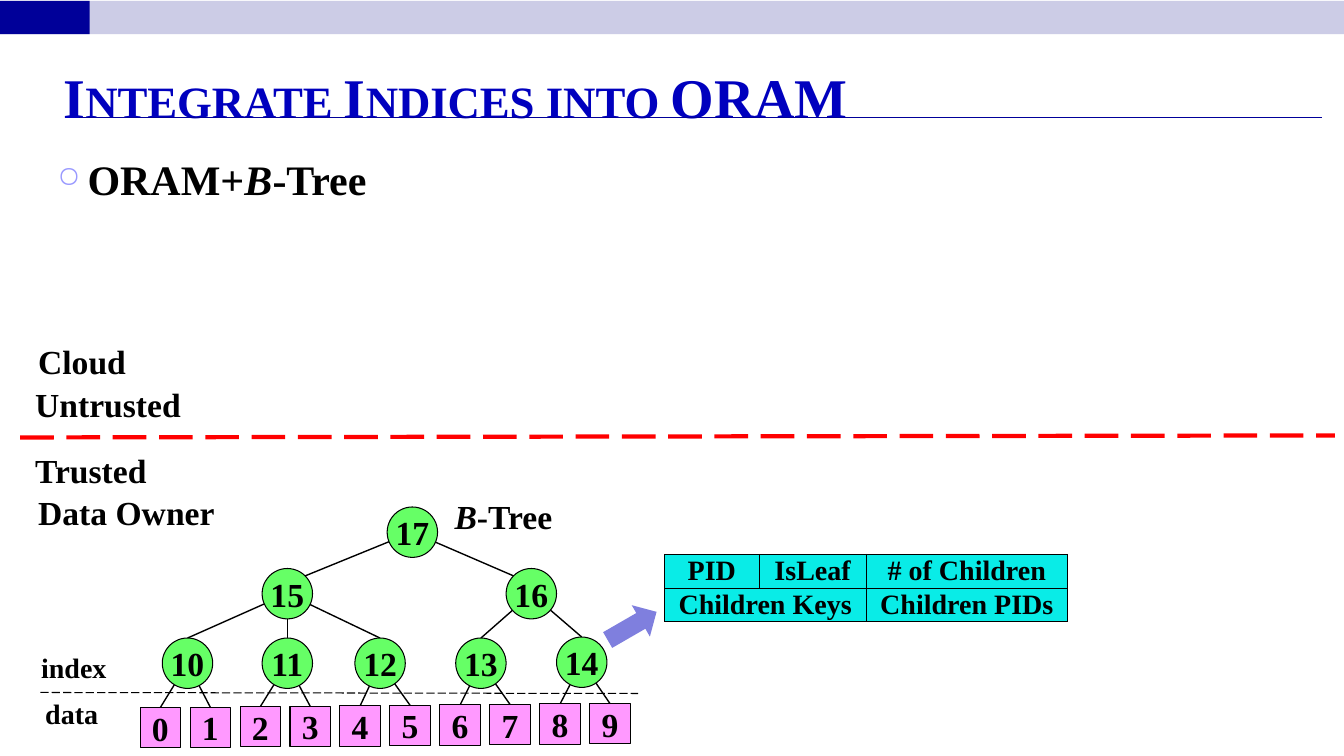
from math import hypot, sqrt
from lxml.etree import SubElement
from pptx import Presentation
from pptx.dml.color import RGBColor
from pptx.enum.dml import MSO_LINE
from pptx.enum.shapes import MSO_CONNECTOR, MSO_SHAPE
from pptx.enum.text import MSO_ANCHOR, MSO_AUTO_SIZE, PP_ALIGN
from pptx.oxml import parse_xml
from pptx.oxml.ns import nsdecls, qn
from pptx.util import Inches, Pt

FONT = "Times New Roman"
BLACK, NAVY, BLUE, RED = "000000", "000099", "0000BE", "FF0000"
GREEN, PINK, CYAN, LAVENDER = "66FF66", "FF99FF", "09ECE7", "CCCCE6"

TITLE = "Integrate Indices into ORAM"
BULLET = [("ORAM+", False), ("B", True), ("-Tree", False)]
LABELS = [
    ([("Cloud", False)], 0.28, 3.33, 1.23, 0.5, 24),
    ([("Untrusted", False)], 0.25, 3.76, 1.75, 0.5, 24),
    ([("Trusted", False)], 0.25, 4.41, 1.75, 0.5, 24),
    ([("Data Owner", False)], 0.28, 4.83, 2.01, 0.5, 24),
    ([("B", True), ("-Tree", False)], 4.41, 4.87, 1.53, 0.5, 24),
    ([("index", False)], 0.31, 6.4, 0.86, 0.44, 20),
    ([("data", False)], 0.35, 6.86, 0.73, 0.44, 20),
]
RULES = [
    ((0.78, 1.17), (13.11, 1.17), NAVY, 0.75, None),
    ((0.4, 6.87), (6.33, 6.88), BLACK, 0.75, MSO_LINE.LONG_DASH),
    ((0.2, 4.34), (13.24, 4.32), RED, 3, MSO_LINE.LONG_DASH),
]
NODES = {
    17: (3.84, 5.03), 15: (2.6, 5.64), 16: (5.02, 5.64),
    10: (1.61, 6.33), 11: (2.6, 6.33), 12: (3.52, 6.33),
    13: (4.52, 6.33), 14: (5.52, 6.32),
}
CHILDREN = {
    17: [15, 16], 15: [10, 11, 12], 16: [13, 14],
    10: [0, 1], 11: [2, 3], 12: [4, 5], 13: [6, 7], 14: [8, 9],
}
ROOT = 17
NODE_SIZE, LEAF_SIZE = 0.5, 0.4
LEAF_COUNT = 10
FIRST_LEAF, LAST_LEAF = (1.39, 7.02), (5.85, 6.98)
PAGE_ROWS = [["PID", "IsLeaf", "# of Children"],
             ["Children Keys", "", "Children PIDs"]]
PAGE_COLS = [0.94, 1.06, 2.0]
PAGE_LEFT, PAGE_TOP, PAGE_ROW = 6.59, 5.5, 0.33


def rgb(color):
    return RGBColor.from_string(color)


def write(p, runs, size, color=BLACK):
    for text, italic in runs:
        r = p.add_run()
        r.text = text
        r.font.name, r.font.size = FONT, Pt(size)
        r.font.bold, r.font.italic = True, italic
        r.font.color.rgb = rgb(color)


def add_text(s, runs, x, y, w, h, size):
    tf = s.shapes.add_textbox(Inches(x), Inches(y), Inches(w), Inches(h)).text_frame
    tf.word_wrap = True
    tf.margin_right = 0
    p = tf.paragraphs[0]
    write(p, runs, size)
    return p


def add_box(s, kind, x, y, w, h, fill, line=None, text=None):
    sp = s.shapes.add_shape(kind, Inches(x), Inches(y), Inches(w), Inches(h))
    sp.shadow.inherit = False
    sp.fill.solid()
    sp.fill.fore_color.rgb = rgb(fill)
    if line:
        sp.line.color.rgb = rgb(line)
        sp.line.width = Pt(0.75)
    else:
        sp.line.fill.background()
    if text is not None:
        tf = sp.text_frame
        tf.margin_left = tf.margin_right = tf.margin_top = tf.margin_bottom = 0
        tf.word_wrap = False
        tf.vertical_anchor = MSO_ANCHOR.MIDDLE
        p = tf.paragraphs[0]
        p.alignment = PP_ALIGN.CENTER
        write(p, [(text, False)], 24)
    return sp


def add_line(s, start, end, color=BLACK, width=1, dash=None):
    points = [Inches(v) for v in (*start, *end)]
    cn = s.shapes.add_connector(MSO_CONNECTOR.STRAIGHT, *points)
    cn.line.color.rgb = rgb(color)
    cn.line.width = Pt(width)
    if dash:
        cn.line.dash_style = dash
    SubElement(cn._element.spPr, qn("a:effectLst"))


def add_title(s):
    sp = s.shapes.title
    sp.left, sp.top, sp.width, sp.height = (Inches(v) for v in (0.53, 0.52, 12.25, 0.74))
    tf = sp.text_frame
    tf.auto_size = MSO_AUTO_SIZE.NONE
    tf.vertical_anchor = MSO_ANCHOR.TOP
    tf.margin_top = Inches(0.1)
    p = tf.paragraphs[0]
    p.alignment = PP_ALIGN.LEFT
    write(p, [(TITLE, False)], 40, BLUE)
    p.runs[0].font._element.set("cap", "small")


def add_bullet(s):
    p = add_text(s, BULLET, 0.47, 1.47, 11.97, 5.48, 30)
    p.space_before = Pt(6)
    pPr = p._p.get_or_add_pPr()
    pPr.set("marL", str(Inches(0.3)))
    pPr.set("indent", str(-Inches(0.3)))
    SubElement(SubElement(pPr, qn("a:buClr")), qn("a:srgbClr")).set("val", "9999FF")
    SubElement(pPr, qn("a:buSzPct")).set("val", "70000")
    SubElement(pPr, qn("a:buChar")).set("char", "○")


def leaf_at(i):
    return tuple(a + (b - a) * i / (LEAF_COUNT - 1) for a, b in zip(FIRST_LEAF, LAST_LEAF))


def edge(parent, child):
    radius = NODE_SIZE / 2
    px, py = (v + radius for v in NODES[parent])
    x, y = NODES[child] if child in NODES else leaf_at(child)
    end = (x + (radius if child in NODES else LEAF_SIZE / 2), y)
    if parent == ROOT:
        side = 1 if px > end[0] else -1
        end = (end[0] + side * radius / sqrt(2), y + radius - radius / sqrt(2))
    dx, dy = end[0] - px, end[1] - py
    k = radius / hypot(dx, dy)
    return (px + dx * k, py + dy * k), end


def add_tree(s):
    for parent, children in CHILDREN.items():
        for child in children:
            add_line(s, *edge(parent, child))
    for key, (x, y) in NODES.items():
        add_box(s, MSO_SHAPE.OVAL, x, y, NODE_SIZE, NODE_SIZE, GREEN, BLACK, str(key))
    for i in range(LEAF_COUNT):
        add_box(s, MSO_SHAPE.RECTANGLE, *leaf_at(i), LEAF_SIZE, LEAF_SIZE, PINK, BLACK, str(i))


def add_page_layout(s):
    table = s.shapes.add_table(
        len(PAGE_ROWS), len(PAGE_COLS), Inches(PAGE_LEFT), Inches(PAGE_TOP),
        Inches(sum(PAGE_COLS)), Inches(PAGE_ROW * len(PAGE_ROWS))).table
    table.first_row = table.horz_banding = False
    for col, width in zip(table.columns, PAGE_COLS):
        col.width = Inches(width)
    table.cell(1, 0).merge(table.cell(1, 1))
    for i, row in enumerate(PAGE_ROWS):
        table.rows[i].height = Inches(PAGE_ROW)
        for j, text in enumerate(row):
            cell = table.cell(i, j)
            cell.margin_left = cell.margin_right = cell.margin_top = cell.margin_bottom = 0
            cell.vertical_anchor = MSO_ANCHOR.MIDDLE
            cell.fill.solid()
            cell.fill.fore_color.rgb = rgb(CYAN)
            p = cell.text_frame.paragraphs[0]
            p.alignment = PP_ALIGN.CENTER
            if text:
                write(p, [(text, False)], 20)
            tcPr = cell._tc.get_or_add_tcPr()
            for k, side in enumerate("LRTB"):
                tcPr.insert(k, parse_xml(
                    f'<a:ln{side} {nsdecls("a")} w="{Pt(0.75)}"><a:solidFill>'
                    f'<a:srgbClr val="{BLACK}"/></a:solidFill></a:ln{side}>'))


def add_arrow(s):
    sp = add_box(s, MSO_SHAPE.RIGHT_ARROW, 5.99, 6.03, 0.56, 0.36, BLUE)
    sp.rotation = 330
    color = sp._element.spPr.find(qn("a:solidFill")).find(qn("a:srgbClr"))
    SubElement(color, qn("a:alpha")).set("val", "50000")


def main():
    prs = Presentation()
    prs.slide_width, prs.slide_height = Inches(13.33), Inches(7.5)
    s = prs.slides.add_slide(prs.slide_layouts[5])
    for width, color in ((13.33, LAVENDER), (0.89, NAVY)):
        add_box(s, MSO_SHAPE.RECTANGLE, 0, 0.01, width, 0.33, color)
    add_title(s)
    add_bullet(s)
    for rule in RULES:
        add_line(s, *rule)
    add_tree(s)
    for label in LABELS:
        add_text(s, *label)
    add_page_layout(s)
    add_arrow(s)
    prs.save("out.pptx")


if __name__ == "__main__":
    main()
